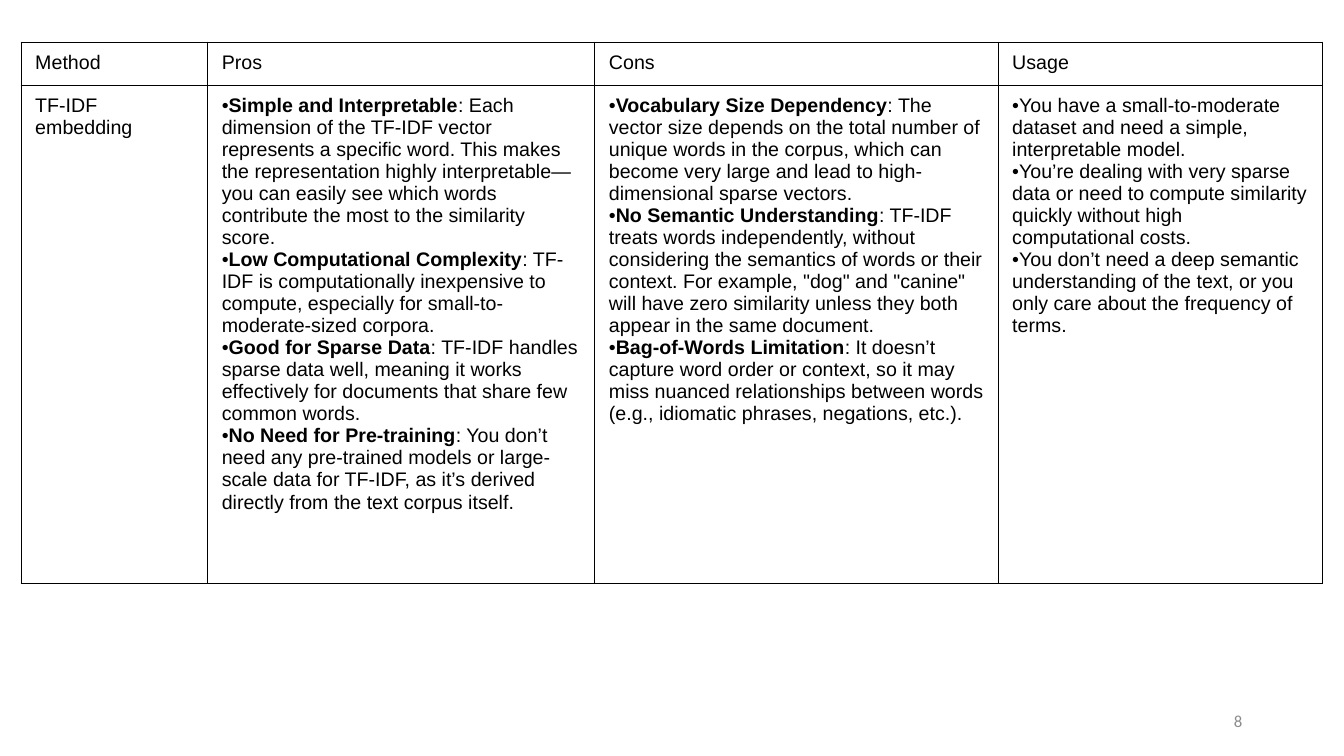
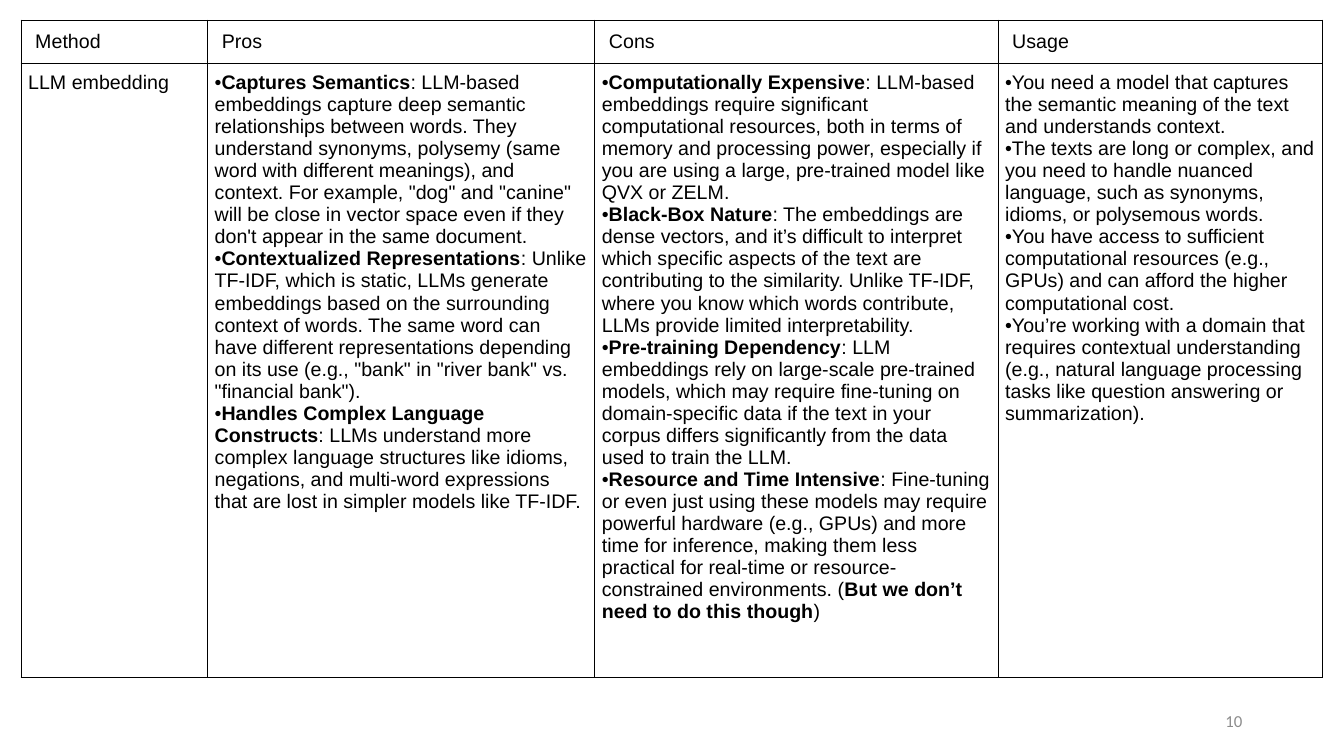
from dataclasses import dataclass

from lxml.etree import SubElement
from pptx import Presentation
from pptx.dml.color import RGBColor
from pptx.enum.text import MSO_ANCHOR, PP_ALIGN
from pptx.oxml.ns import qn
from pptx.util import Inches, Pt


@dataclass(frozen=True)
class Theme:
    ink: str = "000000"
    paper: str = "FFFFFF"
    muted: str = "8C8C8C"
    body_font: str = "Arial"
    number_font: str = "Calibri"
    body_size: int = 14
    number_size: int = 12
    border: int = 1


THEME = Theme()
HEADERS = ["Method", "Pros", "Cons", "Usage"]
COLUMNS = [1.85, 3.84, 4, 3.22]
TABLE_LEFT = 0.21
HEADER_HEIGHT = 0.43


def add_text(p, text, font=THEME.body_font, size=THEME.body_size,
             color=THEME.ink, align=PP_ALIGN.LEFT, bullet=False):
    p.alignment = align
    if bullet:
        pPr = p._p.get_or_add_pPr()
        pPr.set("marL", "0")
        pPr.set("indent", "0")
        SubElement(pPr, qn("a:buFont")).set("typeface", THEME.body_font)
        SubElement(pPr, qn("a:buChar")).set("char", "•")
    for i, part in enumerate(text.split("**")):
        if part:
            r = p.add_run()
            r.text = part
            r.font.name = font
            r.font.size = Pt(size)
            r.font.bold = i % 2 == 1
            r.font.color.rgb = RGBColor.from_string(color)


class Deck:
    def __init__(self, theme):
        self.theme = theme
        self.prs = Presentation()
        self.prs.slide_width = Inches(13.33)
        self.prs.slide_height = Inches(7.5)
        self.s = None

    def slide(self, number):
        self.s = self.prs.slides.add_slide(self.prs.slide_layouts[6])
        sp = self.s.shapes.add_textbox(Inches(9.42), Inches(6.95), Inches(3), Inches(0.4))
        tf = sp.text_frame
        tf.word_wrap = True
        tf.vertical_anchor = MSO_ANCHOR.MIDDLE
        add_text(tf.paragraphs[0], number, font=self.theme.number_font,
                 size=self.theme.number_size, color=self.theme.muted, align=PP_ALIGN.RIGHT)

    def border(self, cell):
        tcPr = cell._tc.get_or_add_tcPr()
        for side in ("a:lnL", "a:lnR", "a:lnT", "a:lnB"):
            ln = SubElement(tcPr, qn(side))
            ln.set("w", str(Pt(self.theme.border)))
            fill = SubElement(ln, qn("a:solidFill"))
            SubElement(fill, qn("a:srgbClr")).set("val", self.theme.ink)

    def cell(self, cell, content, inset):
        side, end = (Inches(value) for value in inset)
        cell.margin_left = cell.margin_right = side
        cell.margin_top = cell.margin_bottom = end
        self.border(cell)
        cell.fill.solid()
        cell.fill.fore_color.rgb = RGBColor.from_string(self.theme.paper)
        bullet = isinstance(content, list)
        tf = cell.text_frame
        for i, text in enumerate(content if bullet else [content]):
            p = tf.add_paragraph() if i else tf.paragraphs[0]
            add_text(p, text, bullet=bullet)

    def table(self, top, body_height, body, header_inset, body_inset):
        heights = [HEADER_HEIGHT, body_height]
        table = self.s.shapes.add_table(
            len(heights), len(COLUMNS), Inches(TABLE_LEFT), Inches(top),
            Inches(sum(COLUMNS)), Inches(sum(heights))).table
        table.first_row = table.horz_banding = False
        for column, width in zip(table.columns, COLUMNS):
            column.width = Inches(width)
        rows = [(HEADERS, header_inset), (body, body_inset)]
        for row, height, (contents, inset) in zip(table.rows, heights, rows):
            row.height = Inches(height)
            for cell, content in zip(row.cells, contents):
                self.cell(cell, content, inset)


TFIDF = [
    "TF-IDF embedding",
    [
        "**Simple and Interpretable**: Each dimension of the TF-IDF vector represents a specific word. "
        "This makes the representation highly interpretable—you can easily see which words contribute "
        "the most to the similarity score.",
        "**Low Computational Complexity**: TF-IDF is computationally inexpensive to compute, "
        "especially for small-to-moderate-sized corpora.",
        "**Good for Sparse Data**: TF-IDF handles sparse data well, meaning it works effectively "
        "for documents that share few common words.",
        "**No Need for Pre-training**: You don’t need any pre-trained models or large-scale data "
        "for TF-IDF, as it’s derived directly from the text corpus itself.",
    ],
    [
        "**Vocabulary Size Dependency**: The vector size depends on the total number of unique words "
        "in the corpus, which can become very large and lead to high-dimensional sparse vectors.",
        "**No Semantic Understanding**: TF-IDF treats words independently, without considering the "
        "semantics of words or their context. For example, \"dog\" and \"canine\" will have zero "
        "similarity unless they both appear in the same document.",
        "**Bag-of-Words Limitation**: It doesn’t capture word order or context, so it may miss nuanced "
        "relationships between words (e.g., idiomatic phrases, negations, etc.).",
    ],
    [
        "You have a small-to-moderate dataset and need a simple, interpretable model.",
        "You’re dealing with very sparse data or need to compute similarity quickly without high "
        "computational costs.",
        "You don’t need a deep semantic understanding of the text, or you only care about the "
        "frequency of terms.",
    ],
]

LLM = [
    "LLM embedding",
    [
        "**Captures Semantics**: LLM-based embeddings capture deep semantic relationships between words. "
        "They understand synonyms, polysemy (same word with different meanings), and context. For example, "
        "\"dog\" and \"canine\" will be close in vector space even if they don't appear in the same document.",
        "**Contextualized Representations**: Unlike TF-IDF, which is static, LLMs generate embeddings based "
        "on the surrounding context of words. The same word can have different representations depending "
        "on its use (e.g., \"bank\" in \"river bank\" vs. \"financial bank\").",
        "**Handles Complex Language Constructs**: LLMs understand more complex language structures like "
        "idioms, negations, and multi-word expressions that are lost in simpler models like TF-IDF.",
    ],
    [
        "**Computationally Expensive**: LLM-based embeddings require significant computational resources, "
        "both in terms of memory and processing power, especially if you are using a large, pre-trained "
        "model like QVX or ZELM.",
        "**Black-Box Nature**: The embeddings are dense vectors, and it’s difficult to interpret which "
        "specific aspects of the text are contributing to the similarity. Unlike TF-IDF, where you know "
        "which words contribute, LLMs provide limited interpretability.",
        "**Pre-training Dependency**: LLM embeddings rely on large-scale pre-trained models, which may "
        "require fine-tuning on domain-specific data if the text in your corpus differs significantly "
        "from the data used to train the LLM.",
        "**Resource and Time Intensive**: Fine-tuning or even just using these models may require powerful "
        "hardware (e.g., GPUs) and more time for inference, making them less practical for real-time or "
        "resource-constrained environments. (**But we don’t need to do this though**)",
    ],
    [
        "You need a model that captures the semantic meaning of the text and understands context.",
        "The texts are long or complex, and you need to handle nuanced language, such as synonyms, "
        "idioms, or polysemous words.",
        "You have access to sufficient computational resources (e.g., GPUs) and can afford the higher "
        "computational cost.",
        "You’re working with a domain that requires contextual understanding (e.g., natural language "
        "processing tasks like question answering or summarization).",
    ],
]


def main():
    deck = Deck(THEME)
    deck.slide("8")
    deck.table(0.42, 4.94, TFIDF, header_inset=(0.14, 0.09), body_inset=(0.14, 0.09))
    deck.slide("10")
    deck.table(0.2, 6.09, LLM, header_inset=(0.14, 0.1), body_inset=(0.07, 0.08))
    deck.prs.save("out.pptx")


if __name__ == "__main__":
    main()
